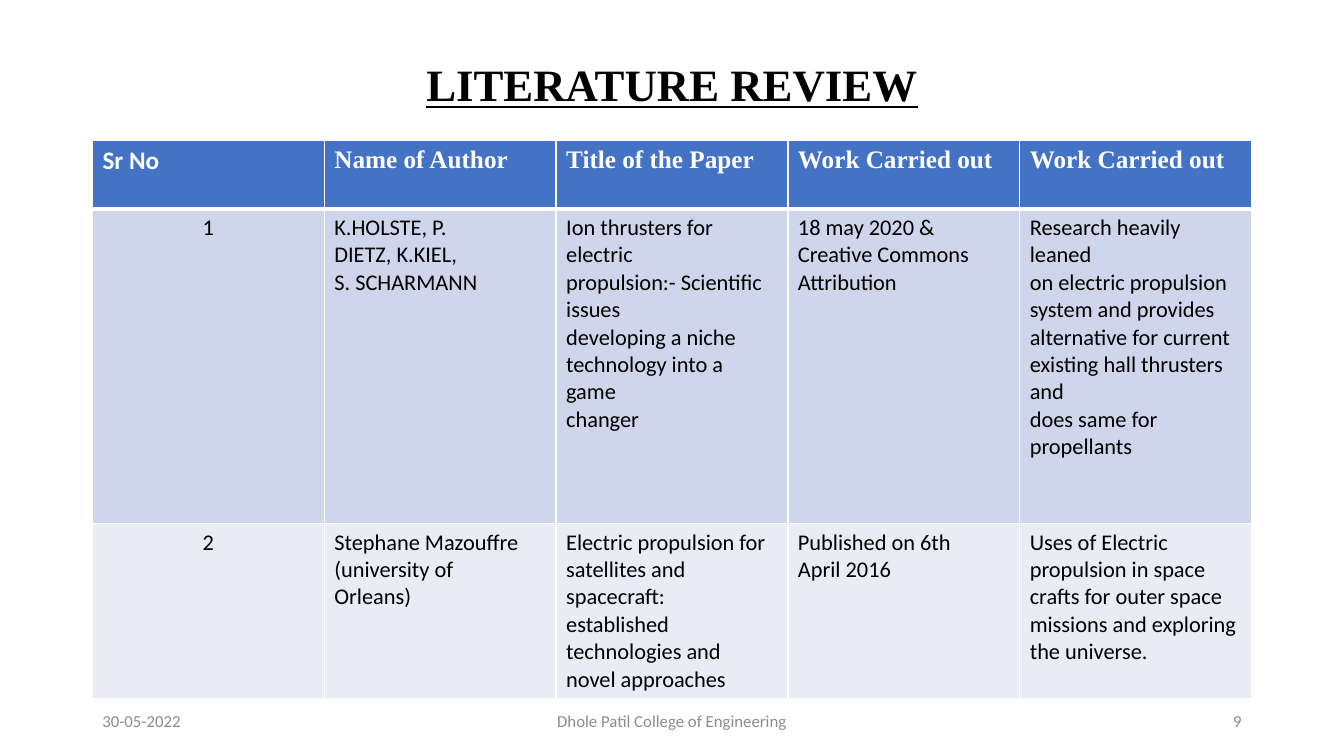
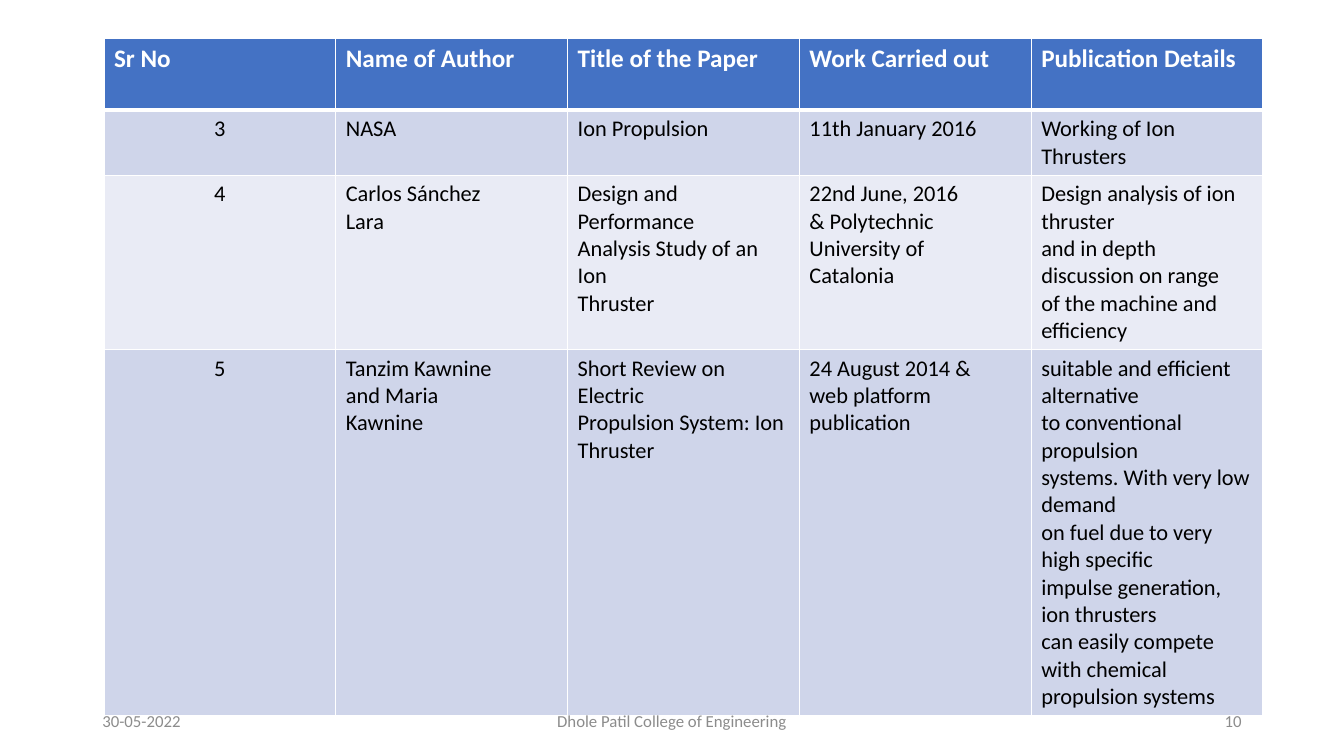
"""Build two literature review slides with shared table and footer styles."""

from dataclasses import dataclass

from lxml.etree import SubElement
from pptx import Presentation
from pptx.dml.color import RGBColor
from pptx.enum.text import MSO_ANCHOR as Anchor, PP_ALIGN as Align
from pptx.oxml.ns import qn
from pptx.util import Cm, Pt

BODY_FONT = "Calibri"
HEADING_FONT = "Times New Roman"
BLACK, WHITE, GREY = "000000", "FFFFFF", "8C8C8C"
HEADER_FILL = "4472C4"
BAND_FILLS = ("CFD5EA", "E9EBF5")
CONTENT_LEFT, CONTENT_WIDTH = 2.33, 29.21
THIN, THICK = 1, 3


@dataclass(frozen=True)
class Footer:
    """Text, horizontal extent in cm and alignment of a footer item."""

    text: str
    left: float
    width: float
    align: Align


@dataclass(frozen=True)
class Review:
    """Content and geometry in cm of one review page."""

    number: int
    left: float
    top: float
    heights: tuple[float, ...]
    header_fonts: tuple[str, ...]
    rows: tuple[tuple[str, ...], ...]
    title: str = ""


REVIEWS = (
    Review(
        number=9,
        title="LITERATURE REVIEW",
        left=CONTENT_LEFT,
        top=3.54,
        heights=(1.73, 7.93, 4.39),
        header_fonts=(BODY_FONT,) + (HEADING_FONT,) * 4,
        rows=(
            ("Sr No", "Name of Author", "Title of the Paper", "Work Carried out", "Work Carried out"),
            (
                "1",
                "K.HOLSTE, P.\nDIETZ, K.KIEL,\nS. SCHARMANN",
                "Ion thrusters for electric\npropulsion:- Scientific issues\n"
                "developing a niche\ntechnology into a game\nchanger",
                "18 may 2020 &\nCreative Commons\nAttribution",
                "Research heavily leaned\non electric propulsion\nsystem and provides\n"
                "alternative for current\nexisting hall thrusters and\ndoes same for\npropellants",
            ),
            (
                "2",
                "Stephane Mazouffre\n(university of\nOrleans)",
                "Electric propulsion for\nsatellites and spacecraft:\n"
                "established technologies and\nnovel approaches",
                "Published on 6th\nApril 2016",
                "Uses of Electric\npropulsion in space\ncrafts for outer space\n"
                "missions and exploring\nthe universe.",
            ),
        ),
    ),
    Review(
        number=10,
        left=2.62,
        top=0.98,
        heights=(1.8, 1.64, 4.39, 9.22),
        header_fonts=(BODY_FONT,) * 5,
        rows=(
            ("Sr No", "Name of Author", "Title of the Paper", "Work Carried out", "Publication Details"),
            ("3", "NASA", "Ion Propulsion", "11th January 2016", "Working of Ion Thrusters"),
            (
                "4",
                "Carlos Sánchez\nLara",
                "Design and Performance\nAnalysis Study of an Ion\nThruster",
                "22nd June, 2016\n& Polytechnic\nUniversity of\nCatalonia",
                "Design analysis of ion thruster\nand in depth discussion on range\n"
                "of the machine and efficiency",
            ),
            (
                "5",
                "Tanzim Kawnine\nand Maria\nKawnine",
                "Short Review on Electric\nPropulsion System: Ion\nThruster",
                "24 August 2014 &\nweb platform\npublication",
                "suitable and efficient alternative\nto conventional propulsion\n"
                "systems. With very low demand\non fuel due to very high specific\n"
                "impulse generation, ion thrusters\ncan easily compete with chemical\n"
                "propulsion systems",
            ),
        ),
    ),
)


def rgb(color: str) -> RGBColor:
    """Turn a hex string into a colour."""
    return RGBColor.from_string(color)


def write(frame, text: str, *, size: float, color: str = BLACK, font: str = BODY_FONT,
          bold: bool = False, underline: bool = False, align: Align = Align.LEFT,
          spacing: float = 1.0) -> None:
    """Fill a text frame with one formatted paragraph per line."""
    for index, line in enumerate(text.split("\n")):
        para = frame.add_paragraph() if index else frame.paragraphs[0]
        para.alignment = align
        para.line_spacing = spacing
        span = para.add_run()
        span.text = line
        span.font.name = font
        span.font.size = Pt(size)
        span.font.bold = bold
        span.font.underline = underline
        span.font.color.rgb = rgb(color)


def add_borders(cell, top: float, bottom: float) -> None:
    """Draw white borders with given top and bottom widths in points."""
    properties = cell._tc.get_or_add_tcPr()
    for side, width in (("L", THIN), ("R", THIN), ("T", top), ("B", bottom)):
        line = SubElement(properties, qn(f"a:ln{side}"), w=str(Pt(width)))
        fill = SubElement(line, qn("a:solidFill"))
        SubElement(fill, qn("a:srgbClr"), val=WHITE)


def add_review_table(page, review: Review) -> None:
    """Add the banded table of reviewed papers."""
    columns = len(review.rows[0])
    table = page.shapes.add_table(
        len(review.rows), columns, Cm(review.left), Cm(review.top),
        Cm(CONTENT_WIDTH), Cm(sum(review.heights)),
    ).table
    for column in table.columns:
        column.width = Cm(CONTENT_WIDTH / columns)
    for row, (height, texts) in enumerate(zip(review.heights, review.rows)):
        table.rows[row].height = Cm(height)
        for column, text in enumerate(texts):
            cell = table.cell(row, column)
            add_borders(cell, THICK if row == 1 else THIN, THIN if row else THICK)
            cell.fill.solid()
            if row == 0:
                cell.fill.fore_color.rgb = rgb(HEADER_FILL)
                write(cell.text_frame, text, size=18, color=WHITE, bold=True,
                      font=review.header_fonts[column])
            else:
                cell.fill.fore_color.rgb = rgb(BAND_FILLS[(row - 1) % 2])
                write(cell.text_frame, text, size=16,
                      align=Align.LEFT if column else Align.CENTER)


def add_title(page, text: str) -> None:
    """Place and format the title placeholder."""
    title = page.shapes.title
    title.left, title.top = Cm(CONTENT_LEFT), Cm(0.36)
    title.width, title.height = Cm(CONTENT_WIDTH), Cm(3.68)
    title.text_frame.vertical_anchor = Anchor.MIDDLE
    write(title.text_frame, text, size=32, font=HEADING_FONT, bold=True,
          underline=True, align=Align.CENTER, spacing=0.9)


def add_footers(page, number: int) -> None:
    """Add the date, college name and page number."""
    for footer in (
        Footer("30-05-2022", CONTENT_LEFT, 7.62, Align.LEFT),
        Footer("Dhole Patil College of Engineering", 11.22, 11.43, Align.CENTER),
        Footer(str(number), 23.92, 7.62, Align.RIGHT),
    ):
        box = page.shapes.add_textbox(Cm(footer.left), Cm(17.66), Cm(footer.width), Cm(1.01))
        box.text_frame.word_wrap = True
        box.text_frame.vertical_anchor = Anchor.MIDDLE
        write(box.text_frame, footer.text, size=12, color=GREY, align=footer.align)


def main() -> None:
    """Build and save the deck."""
    deck = Presentation()
    deck.slide_width, deck.slide_height = Cm(33.87), Cm(19.05)
    title_only, blank = deck.slide_layouts[5], deck.slide_layouts[6]
    for review in REVIEWS:
        page = deck.slides.add_slide(title_only if review.title else blank)
        if review.title:
            add_title(page, review.title)
        add_review_table(page, review)
        add_footers(page, review.number)
    deck.save("out.pptx")


if __name__ == "__main__":
    main()
